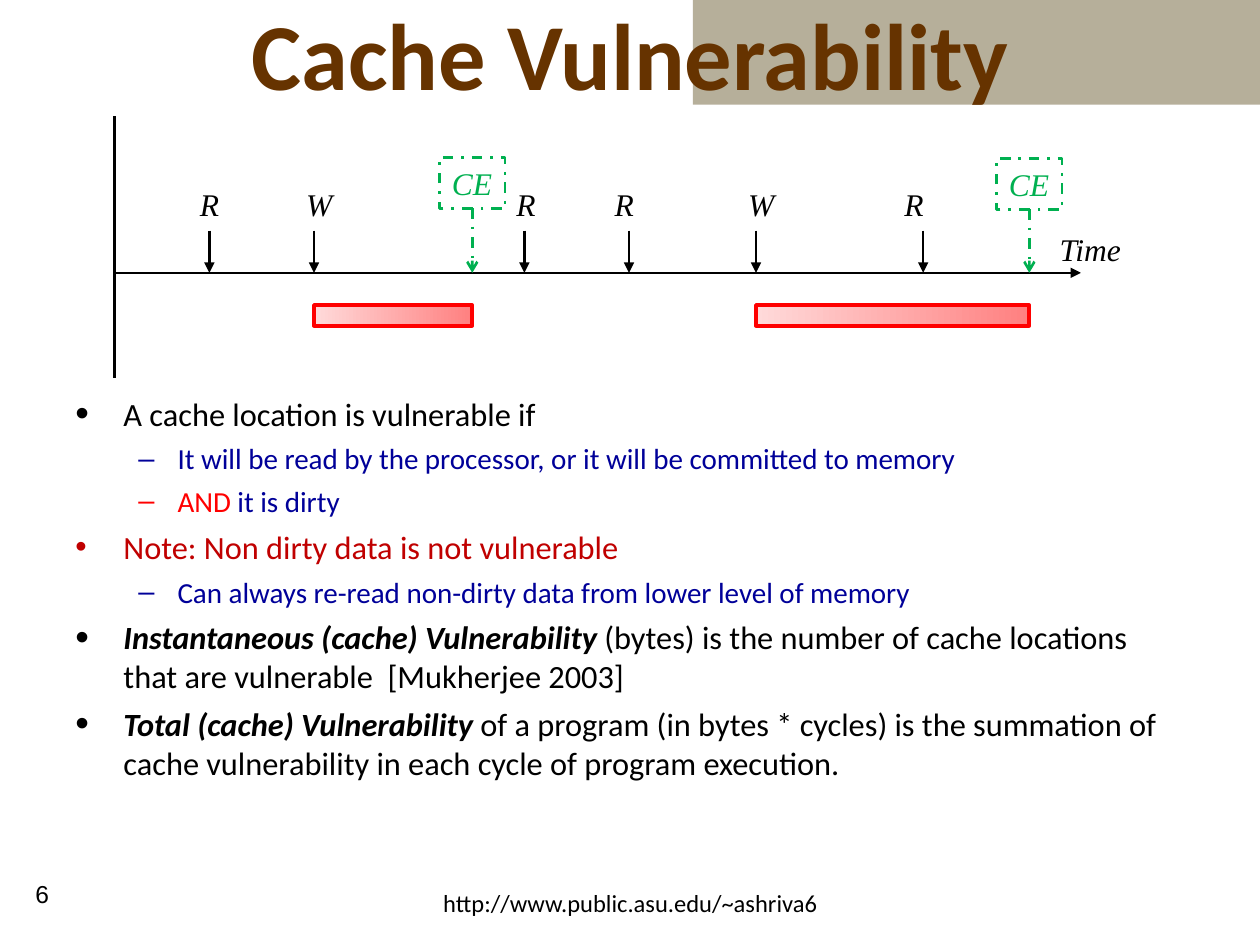
from dataclasses import dataclass

import pptx
import pptx.dml.color
import pptx.enum.dml
import pptx.enum.shapes
import pptx.enum.text
import pptx.oxml.ns
import pptx.util
from lxml import etree

Cm = pptx.util.Cm
Pt = pptx.util.Pt
ALIGN = pptx.enum.text.PP_ALIGN
RECTANGLE = pptx.enum.shapes.MSO_SHAPE.RECTANGLE
DASH_DOT = pptx.enum.dml.MSO_LINE.DASH_DOT

BLACK, GREEN, RED, NAVY = "000000", "00B050", "FF0000", "000099"
SERIF, SANS = "Times New Roman", "Calibri"
AXIS_Y = 5.5
ORIGIN_X = 2.31


@dataclass
class Access:
    """A read or write on the time axis, in cm."""
    label: str
    x: float
    label_left: float


@dataclass
class Eviction:
    """A CE box, and the write from which data was vulnerable, in cm."""
    left: float
    top: float
    write_x: float


@dataclass
class Span:
    text: str
    color: str = BLACK
    strong: bool = False


@dataclass
class Bullet:
    spans: list[Span]
    level: int = 0
    scale: int = 100


def rgb(color: str):
    return pptx.dml.color.RGBColor.from_string(color)


def add_xml(parent, tag: str, **attributes):
    return etree.SubElement(parent, pptx.oxml.ns.qn(tag), attributes)


def add_run(paragraph, text: str, *, size: float, font=SANS, color=BLACK,
            bold=False, italic=False) -> None:
    run = paragraph.add_run()
    run.text = text
    run.font.name, run.font.size = font, Pt(size)
    run.font.bold, run.font.italic = bold, italic
    run.font.color.rgb = rgb(color)


def write(shape, text: str, *, align=ALIGN.LEFT, wrap=False, **font) -> None:
    frame = shape.text_frame
    frame.word_wrap = wrap
    frame.paragraphs[0].alignment = align
    add_run(frame.paragraphs[0], text, **font)


def add_label(slide, text: str, left: float, top: float, width: float,
              height: float = 1.02, **style) -> None:
    box = slide.shapes.add_textbox(Cm(left), Cm(top), Cm(width), Cm(height))
    write(box, text, **style)


def add_rectangle(slide, left: float, top: float, width: float, height: float):
    shape = slide.shapes.add_shape(RECTANGLE, Cm(left), Cm(top), Cm(width), Cm(height))
    shape.shadow.inherit = False
    return shape


def style_line(line, color: str, width: float, dash=None) -> None:
    line.color.rgb = rgb(color)
    line.width = Pt(width)
    if dash is not None:
        line.dash_style = dash


def add_line(slide, x1: float, y1: float, x2: float, y2: float, *,
             color=BLACK, dash=None, head: str = ""):
    line = slide.shapes.add_connector(
        pptx.enum.shapes.MSO_CONNECTOR.STRAIGHT, Cm(x1), Cm(y1), Cm(x2), Cm(y2))
    style_line(line.line, color, 1.5, dash)
    if head:
        add_xml(line.line._get_or_add_ln(), "a:tailEnd", type=head)
    add_xml(line._element.spPr, "a:effectLst")
    return line


def add_access(slide, access: Access) -> None:
    add_line(slide, access.x, 4.65, access.x, AXIS_Y, head="triangle")
    add_label(slide, access.label, access.label_left, 3.6, 1,
              size=18, font=SERIF, italic=True)


def add_eviction(slide, eviction: Eviction) -> None:
    width, height = 1.32, 1.02
    box = add_rectangle(slide, eviction.left, eviction.top, width, height)
    box.fill.background()
    style_line(box.line, GREEN, 1.5, DASH_DOT)
    write(box, "CE", size=18, font=SERIF, color=GREEN, italic=True)
    x = eviction.left + width / 2
    arrow = add_line(slide, x, eviction.top + height, x, AXIS_Y,
                     color=GREEN, dash=DASH_DOT, head="arrow")
    arrow.begin_connect(box, 2)

    # Vulnerable interval, from the write to the eviction
    interval = add_rectangle(slide, eviction.write_x, 6.15, x - eviction.write_x, 0.42)
    interval.fill.gradient()
    interval.fill.gradient_angle = 180
    for stop, color, position in zip(interval.fill.gradient_stops,
                                     ("FF8080", "FFDADA"), (0, 1)):
        stop.color.rgb = rgb(color)
        stop.position = position
    style_line(interval.line, RED, 2)


def add_bullet(paragraph, bullet: Bullet) -> None:
    margin, hanging, size, before, mark = (
        (0.97, 0.97, 18.5, 5, "•"), (2.06, 0.79, 16.6, 4.5, "–"))[bullet.level]
    properties = paragraph._p.get_or_add_pPr()
    properties.set("marL", str(Cm(margin)))
    properties.set("indent", str(-Cm(hanging)))
    mark_color = add_xml(properties, "a:buClr")
    add_xml(mark_color, "a:srgbClr", val=bullet.spans[0].color)
    add_xml(properties, "a:buSzPct", val=str(bullet.scale * 1000))
    add_xml(properties, "a:buFont", typeface="Arial")
    add_xml(properties, "a:buChar", char=mark)
    paragraph.level = bullet.level
    paragraph.space_before = Pt(before)
    for span in bullet.spans:
        add_run(paragraph, span.text, size=size, color=span.color,
                bold=span.strong, italic=span.strong)


ACCESSES = [
    Access("R", 4.22, 3.78), Access("W", 6.33, 5.92), Access("R", 10.57, 10.16),
    Access("R", 12.68, 12.14), Access("W", 15.24, 14.83), Access("R", 18.61, 17.98),
]
EVICTIONS = [Eviction(8.86, 3.18, 6.33), Eviction(20.09, 3.2, 15.24)]
BULLETS = [
    Bullet([Span("A cache location is vulnerable if")], scale=120),
    Bullet([Span("It will be read by the processor, or it will be committed to memory",
                 NAVY)], level=1),
    Bullet([Span("AND ", RED), Span("it is dirty", NAVY)], level=1),
    Bullet([Span("Note: Non dirty data is not vulnerable", "C00000")]),
    Bullet([Span("Can always re-read non-dirty data from lower level of memory",
                 NAVY)], level=1),
    Bullet([Span("Instantaneous (cache) Vulnerability ", strong=True),
            Span("(bytes) is the number of cache locations that are vulnerable"
                 "  [Mukherjee 2003]")], scale=120),
    Bullet([Span("Total (cache) Vulnerability ", strong=True),
            Span("of a program (in bytes * cycles) is the summation of cache "
                 "vulnerability in each cycle of program execution.")], scale=120),
]


def main() -> None:
    deck = pptx.Presentation()
    deck.slide_width, deck.slide_height = Cm(25.4), Cm(19.05)
    slide = deck.slides.add_slide(deck.slide_layouts[5])

    # Corner band, behind the title
    band = add_rectangle(slide, 13.97, 0, 11.43, 2.11)
    band.fill.solid()
    band.fill.fore_color.rgb = rgb("B6AF9A")
    band.line.fill.background()
    slide.shapes._spTree.insert(2, band._element)

    # Title
    title = slide.shapes.title
    title.left, title.top, title.width, title.height = Cm(1.91), Cm(0), Cm(21.59), Cm(2.11)
    title.text_frame.auto_size = pptx.enum.text.MSO_AUTO_SIZE.NONE
    title.text_frame.vertical_anchor = pptx.enum.text.MSO_ANCHOR.MIDDLE
    write(title, "Cache Vulnerability", align=ALIGN.CENTER, wrap=True,
          size=54, color="663300", bold=True)

    # Explanation
    explanation = slide.shapes.add_textbox(Cm(1.27), Cm(7.82), Cm(22.43), Cm(9.32)).text_frame
    explanation.word_wrap = True
    for index, bullet in enumerate(BULLETS):
        paragraph = explanation.add_paragraph() if index else explanation.paragraphs[0]
        add_bullet(paragraph, bullet)
    explanation.paragraphs[0].space_before = Pt(0)

    # Footer
    add_label(slide, "6", 0, 17.6, 1.7, 1.45, align=ALIGN.CENTER, wrap=True,
              size=14, font="Arial")
    add_label(slide, "http://www.public.asu.edu/~ashriva6", 6.78, 17.78, 11.86, 1.27,
              align=ALIGN.CENTER, wrap=True, size=14)

    # Timeline
    add_line(slide, ORIGIN_X, 2.34, ORIGIN_X, 7.62)
    add_line(slide, ORIGIN_X, AXIS_Y, 21.79, AXIS_Y, head="triangle")
    add_label(slide, "Time", 21.11, 4.52, 1.78, size=18, font=SERIF, italic=True)
    for access in ACCESSES:
        add_access(slide, access)
    for eviction in EVICTIONS:
        add_eviction(slide, eviction)

    deck.save("out.pptx")


if __name__ == "__main__":
    main()
